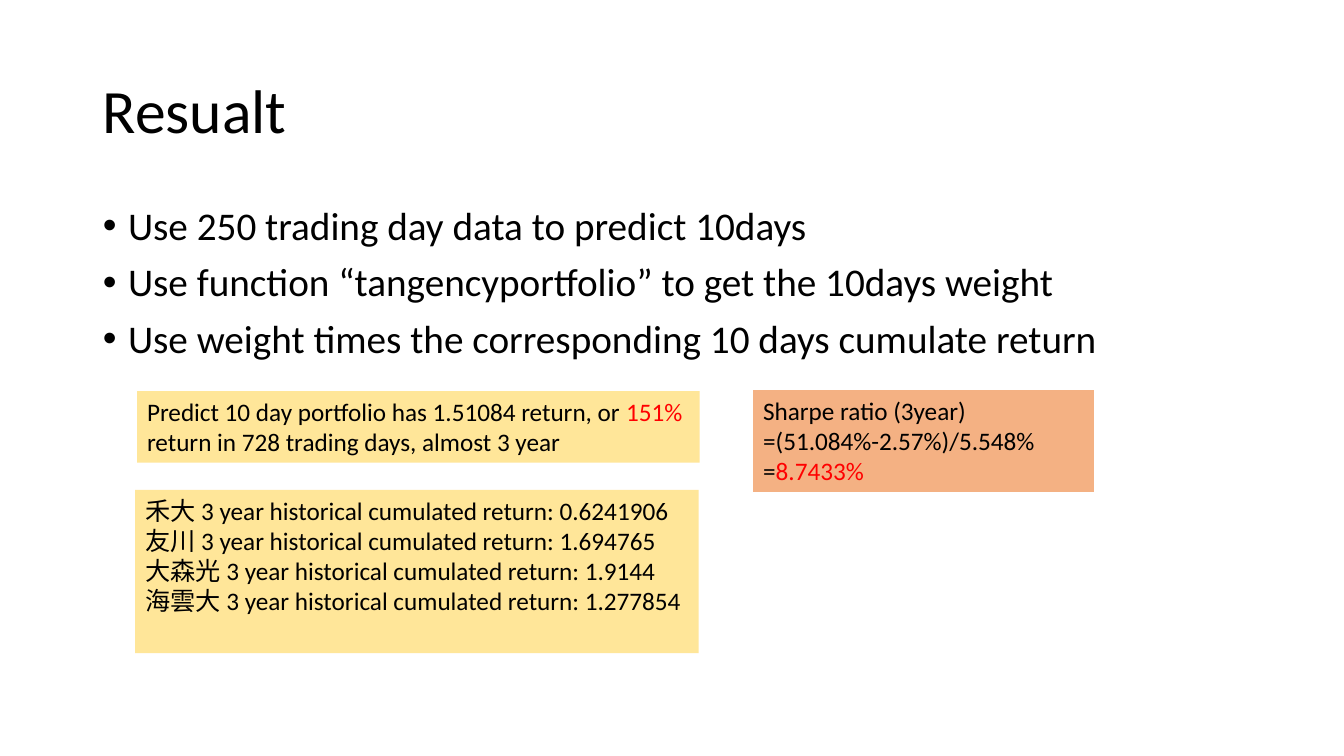
from dataclasses import dataclass

from pptx import Presentation
from pptx.dml.color import RGBColor as Rgb
from pptx.enum.shapes import MSO_SHAPE as Shape
from pptx.enum.text import MSO_ANCHOR as Anchor, MSO_AUTO_SIZE as Auto, PP_ALIGN as Align
from pptx.util import Inches, Pt


@dataclass(frozen=True)
class Theme:
    """Colours, font and type sizes of the slide."""
    font: str = "Calibri"
    ink: str = "000000"
    mark: str = "FF0000"
    gold: str = "FFE699"
    clay: str = "F4B183"
    head: int = 44
    list: int = 28
    note: int = 18


THEME = Theme()
STEPS = [
    "Use 250 trading day data to predict 10days",
    "Use function “tangencyportfolio” to get the 10days weight",
    "Use weight times the corresponding 10 days cumulate return",
]
GAIN = [[
    ("Predict 10 day portfolio has 1.51084 return, or ", THEME.ink),
    ("151%", THEME.mark),
    (" return in 728 trading days, almost 3 year", THEME.ink),
]]
STOCKS = {"禾大": "0.6241906", "友川": "1.694765", "大森光": "1.9144", "海雲大": "1.277854"}
SHARPE = [
    [("Sharpe ratio (3year)", THEME.ink)],
    [("=(51.084%-2.57%)/5.548%", THEME.ink)],
    [("=", THEME.ink), ("8.7433%", THEME.mark)],
]


def apply(item, values):
    """Set each named attribute of the item."""
    for name, value in values.items():
        setattr(item, name, value)


def place(shape, left, top, width, height):
    """Move and size a shape, in inches."""
    spots = {"left": left, "top": top, "width": width, "height": height}
    apply(shape, {name: Inches(size) for name, size in spots.items()})


def write(shape, lines, size, frame, para):
    """Fill a shape with lines made of (text, colour) runs."""
    text = shape.text_frame
    apply(text, {"word_wrap": True, "auto_size": Auto.NONE, **frame})
    for i, line in enumerate(lines):
        part = text.add_paragraph() if i else text.paragraphs[0]
        apply(part, {"alignment": Align.LEFT, **para})
        for words, color in line:
            run = part.add_run()
            run.text = words
            apply(run.font, {"name": THEME.font, "size": Pt(size)})
            run.font.color.rgb = Rgb.from_string(color)


def plain(texts):
    """Turn texts into lines of one run in the ink colour."""
    return [[(text, THEME.ink)] for text in texts]


def add_title(slide, text):
    """Place and fill the title."""
    title = slide.shapes.title
    place(title, 0.92, 0.4, 11.5, 1.45)
    write(title, plain([text]), THEME.head,
          {"vertical_anchor": Anchor.MIDDLE}, {"line_spacing": 0.9})


def add_list(slide, texts):
    """Place and fill the bullet list."""
    body = slide.placeholders[1]
    place(body, 0.92, 2, 11.5, 4.76)
    write(body, plain(texts), THEME.list, {"vertical_anchor": Anchor.TOP},
          {"line_spacing": 0.9, "space_before": Pt(10)})
    for part in body.text_frame.paragraphs:
        props = part._p.get_or_add_pPr()
        props.set("marL", str(Inches(0.25)))
        props.set("indent", str(Inches(-0.25)))


def add_note(slide, spot, fill, lines):
    """Draw a filled box with left-aligned lines."""
    box = slide.shapes.add_shape(Shape.RECTANGLE, 0, 0, 0, 0)
    place(box, *spot)
    box.shadow.inherit = False
    box.fill.solid()
    box.fill.fore_color.rgb = Rgb.from_string(fill)
    box.line.fill.background()
    write(box, lines, THEME.note, {"vertical_anchor": Anchor.TOP}, {})


def main():
    """Build and save the slide."""
    deck = Presentation()
    apply(deck, {"slide_width": Inches(13.33), "slide_height": Inches(7.5)})
    slide = deck.slides.add_slide(deck.slide_layouts[1])
    add_title(slide, "Resualt")
    add_list(slide, STEPS)
    past = [f"{name} 3 year historical cumulated return: {rate}"
            for name, rate in STOCKS.items()]
    add_note(slide, (1.36, 3.88, 5.58, 0.71), THEME.gold, GAIN)
    add_note(slide, (1.34, 4.86, 5.59, 1.62), THEME.gold, plain(past))
    add_note(slide, (7.47, 3.87, 3.38, 1.01), THEME.clay, SHARPE)
    deck.save("out.pptx")


if __name__ == "__main__":
    main()
